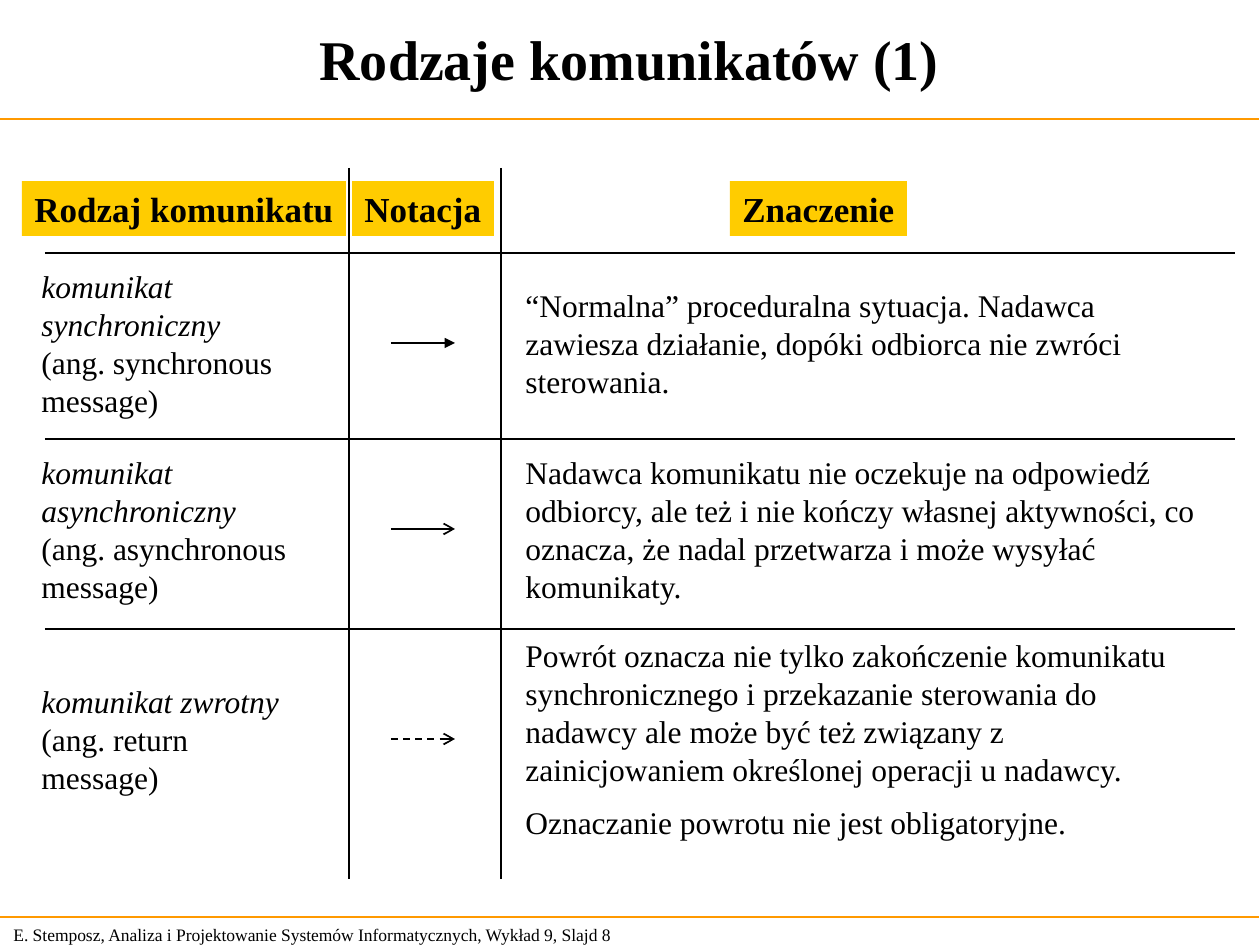
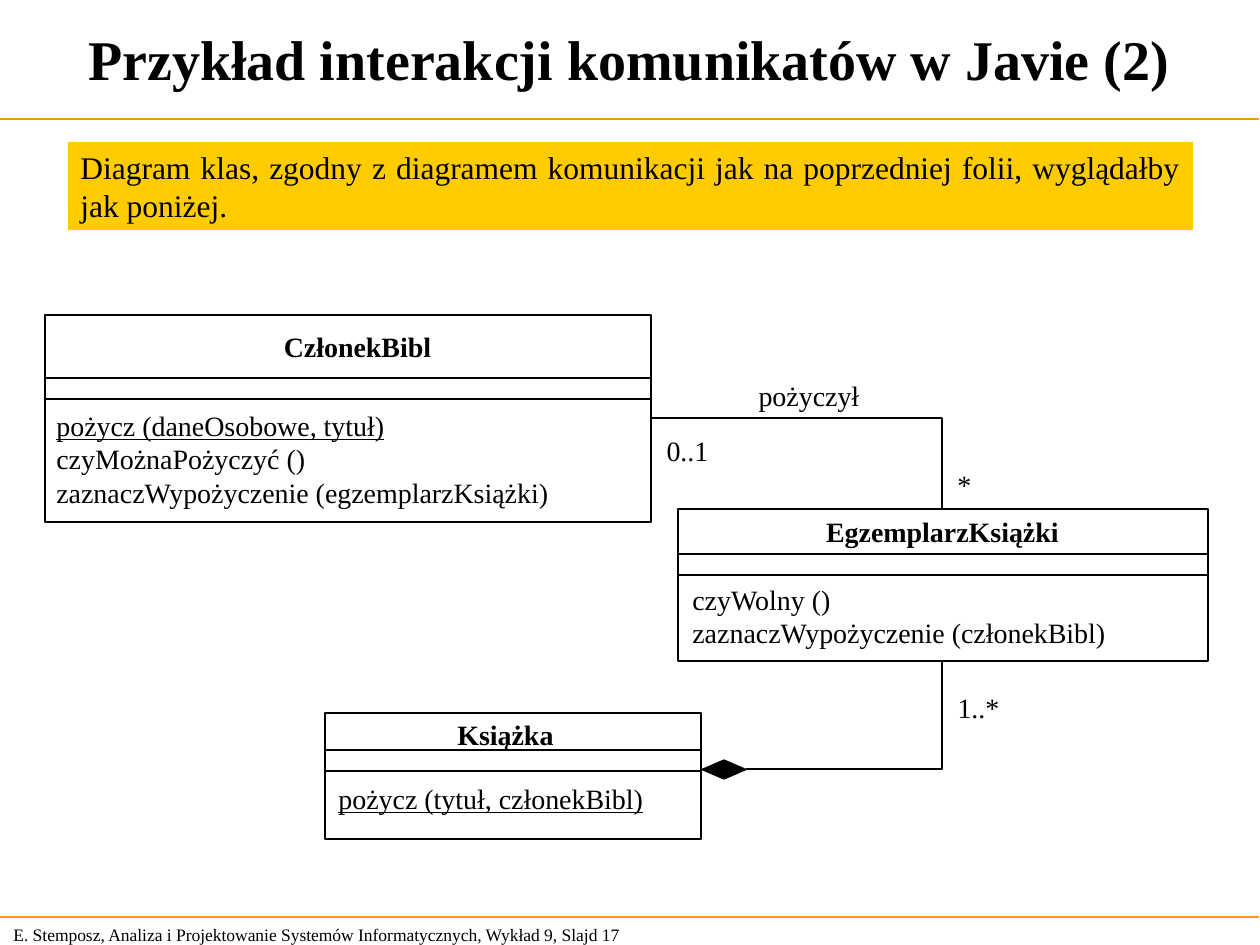
import pptx
import pptx.dml.color
import pptx.enum.dml
import pptx.enum.shapes
import pptx.enum.text
import pptx.oxml.ns
import pptx.util
from lxml import etree

EMU_PER_PX = 914400 / 126
FONT = "Times New Roman"
BLACK, ORANGE, YELLOW = "000000", "FF9900", "FFCC00"
ALIGN = pptx.enum.text.PP_ALIGN
ANCHOR = pptx.enum.text.MSO_ANCHOR
SHAPE = pptx.enum.shapes.MSO_SHAPE
CONNECTOR = pptx.enum.shapes.MSO_CONNECTOR


def px(length):
    """Turn px into EMU."""
    return pptx.util.Emu(round(length * EMU_PER_PX))


def color(hex_code):
    """Turn a hex string into a colour."""
    return pptx.dml.color.RGBColor.from_string(hex_code)


def set_font(font, size, style=""):
    """Format a font; style holds any of the letters b, i and u."""
    font.name, font.size = FONT, pptx.util.Pt(size)
    font.color.rgb = color(BLACK)
    font.bold, font.italic, font.underline = ("b" in style, "i" in style, "u" in style)


def write(shape, paragraphs, size, align=ALIGN.LEFT, wrap=True, anchor=ANCHOR.TOP, gap=0):
    """Fill a shape with (text, style) paragraphs, with a gap between them."""
    frame = shape.text_frame
    frame.word_wrap, frame.vertical_anchor = wrap, anchor
    frame.auto_size = pptx.enum.text.MSO_AUTO_SIZE.NONE
    for number, (text, style) in enumerate(paragraphs):
        paragraph = frame.add_paragraph() if number else frame.paragraphs[0]
        paragraph.text, paragraph.alignment = text, align
        if number and gap:
            paragraph.space_before = pptx.util.Pt(gap)
        set_font(paragraph.font, size, style)
    return frame


def add_text(slide, box, paragraphs, size, **layout):
    """Add a text box."""
    return write(slide.shapes.add_textbox(*map(px, box)), paragraphs, size, **layout)


def add_shape(slide, kind, box, fill=None, line=None, width=1):
    """Add a preset shape without shadow."""
    shape = slide.shapes.add_shape(kind, *map(px, box))
    shape.shadow.inherit = False
    if fill:
        shape.fill.solid()
        shape.fill.fore_color.rgb = color(fill)
    else:
        shape.fill.background()
    if line:
        shape.line.color.rgb = color(line)
        shape.line.width = pptx.util.Pt(width)
    else:
        shape.line.fill.background()
    return shape


def add_line(slide, start, end, stroke=BLACK, width=1, head=None, dashed=False, bent=False):
    """Add a straight or one-bend connector, with an optional arrowhead at its end."""
    kind = CONNECTOR.ELBOW if bent else CONNECTOR.STRAIGHT
    line = slide.shapes.add_connector(kind, *map(px, (*start, *end)))
    line.line.color.rgb = color(stroke)
    line.line.width = pptx.util.Pt(width)
    if dashed:
        line.line.dash_style = pptx.enum.dml.MSO_LINE.DASH
    qn = pptx.oxml.ns.qn
    properties = line._element.spPr
    if bent:
        properties.find(qn("a:prstGeom")).set("prst", "bentConnector2")
    if head:
        etree.SubElement(properties.find(qn("a:ln")), qn("a:tailEnd"), type=head)
    etree.SubElement(properties, qn("a:effectLst"))


def add_framed_slide(deck, title, number):
    """Add a slide with its title, two orange rules and footer."""
    slide = deck.slides.add_slide(deck.slide_layouts[5])
    for y in (119, 917):
        add_line(slide, (-1, y), (1259, y), ORANGE, 0.75)
    footer = f"E. Stemposz, Analiza i Projektowanie Systemów Informatycznych, Wykład 9, Slajd {number}"
    add_text(slide, (1, 917, 660, 34), [(footer, "")], 10, anchor=ANCHOR.MIDDLE)
    heading = slide.shapes.title
    heading.left, heading.top, heading.width, heading.height = map(px, (0, 0, 1259, 116))
    write(heading, [(title, "b")], 32, ALIGN.CENTER, anchor=ANCHOR.MIDDLE)
    return slide


def add_message_grid(slide, left, top, width, height):
    """Draw the column headers and the rules of the message grid."""
    headers = (("Rodzaj komunikatu", 22, 324), ("Notacja", 352, 142), ("Znaczenie", 730, 177))
    for text, x, header_width in headers:
        header = add_shape(slide, SHAPE.RECTANGLE, (x, top + 13, header_width, 55), YELLOW)
        write(header, [(text, "b")], 20, wrap=False)
    for x in (left + 304, left + 456):
        add_line(slide, (x, top), (x, top + height))
    for y in (top + 85, top + 271, top + 461):
        add_line(slide, (left, y), (left + width, y))


def add_message_row(slide, arrow_y, kind, kind_box, meaning, meaning_box, head, dashed=False):
    """Add one message kind with its arrow and meaning, relative to the arrow's height."""
    kind_top, kind_width, kind_height = kind_box
    meaning_top, meaning_width, meaning_height = meaning_box
    name = add_text(slide, (29, arrow_y + kind_top, kind_width, kind_height), kind, 18)
    add_line(slide, (391, arrow_y), (455, arrow_y), head=head, dashed=dashed)
    add_text(slide, (513, arrow_y + meaning_top, meaning_width, meaning_height),
             [(text, "") for text in meaning], 18, gap=9)
    return name


def build_message_kinds(deck):
    """Build the slide on kinds of messages."""
    slide = add_framed_slide(deck, "Rodzaje komunikatów (1)", 8)
    add_message_grid(slide, 45, 168, 1190, 711)
    synchronous = add_message_row(
        slide, 343, [("komunikat synchroniczny ", "i")], (-82, 263, 164),
        ["“Normalna” proceduralna sytuacja. Nadawca zawiesza działanie, dopóki "
         "odbiorca nie zwróci sterowania."], (-63, 709, 126), "triangle")
    english = synchronous.paragraphs[0].add_run()
    english.text, english.font.italic = "(ang. synchronous message)", False
    add_message_row(
        slide, 529,
        [("komunikat", "i"), ("asynchroniczny", "i"), ("(ang. asynchronous message)", "")],
        (-82, 284, 164),
        ["Nadawca komunikatu nie oczekuje na odpowiedź odbiorcy, ale też i nie kończy "
         "własnej aktywności, co oznacza, że nadal przetwarza i może wysyłać komunikaty."],
        (-82, 709, 164), "arrow")
    add_message_row(
        slide, 739, [("komunikat zwrotny", "i"), ("(ang. return message)", "")],
        (-63, 284, 126),
        ["Powrót oznacza nie tylko zakończenie komunikatu synchronicznego i przekazanie "
         "sterowania do nadawcy ale może być też związany z zainicjowaniem określonej "
         "operacji u nadawcy.", "Oznaczanie powrotu nie jest obligatoryjne."],
        (-109, 698, 219), "arrow", dashed=True)


def add_class(slide, box, name, name_box, name_height, methods, methods_box):
    """Draw a class with its name, empty attribute band and methods, relative to its box."""
    left, top, width, height = box
    add_shape(slide, SHAPE.RECTANGLE, box, line=BLACK)
    for y in (top + name_height, top + name_height + 21):
        add_line(slide, (left, y), (left + width, y))
    name_x, name_y, name_width = name_box
    add_text(slide, (left + name_x, top + name_y, name_width, 47), [(name, "b")], 16,
             align=ALIGN.CENTER, wrap=False)
    methods_x, methods_y, methods_width = methods_box
    add_text(slide, (left + methods_x, top + methods_y, methods_width, 13 + 34 * len(methods)),
             methods, 16, wrap=False)


def build_class_diagram(deck):
    """Build the slide with the library class diagram."""
    slide = add_framed_slide(deck, "Przykład interakcji komunikatów w Javie (2)", 17)
    intro = add_shape(slide, SHAPE.RECTANGLE, (68, 142, 1125, 88), YELLOW)
    write(intro, [("Diagram klas, zgodny z diagramem komunikacji jak na poprzedniej folii, "
                   "wyglądałby jak poniżej.", "")], 18, ALIGN.JUSTIFY)
    add_class(slide, (45, 315, 606, 207), "CzłonekBibl", (226, 8, 173), 63,
              [("pożycz (daneOsobowe, tytuł)", "u"), ("czyMożnaPożyczyć ()", ""),
               ("zaznaczWypożyczenie (egzemplarzKsiążki)", "")], (-1, 87, 519))
    add_class(slide, (325, 713, 376, 126), "Książka", (120, -2, 121), 37,
              [("pożycz (tytuł, członekBibl)", "u")], (1, 62, 330))
    add_class(slide, (678, 509, 530, 152), "EgzemplarzKsiążki", (136, -1, 257), 45,
              [("czyWolny ()", ""), ("zaznaczWypożyczenie (członekBibl)", "")], (2, 67, 512))
    add_line(slide, (651, 418), (942, 509), bent=True)
    add_line(slide, (746, 769), (942, 661), bent=True)
    add_shape(slide, SHAPE.DIAMOND, (702, 760, 44, 19), BLACK, BLACK, 0.75)
    labels = (("pożyczył", 746, 372, 126), ("*", 945, 461, 39),
              ("0..1", 654, 427, 67), ("1..*", 945, 684, 67))
    for text, x, y, width in labels:
        add_text(slide, (x, y, width, 47), [(text, "")], 16, align=ALIGN.CENTER, wrap=False)


def main():
    """Build and save the deck."""
    deck = pptx.Presentation()
    deck.slide_width, deck.slide_height = px(1260), px(945)
    build_message_kinds(deck)
    build_class_diagram(deck)
    deck.save("out.pptx")


if __name__ == "__main__":
    main()
